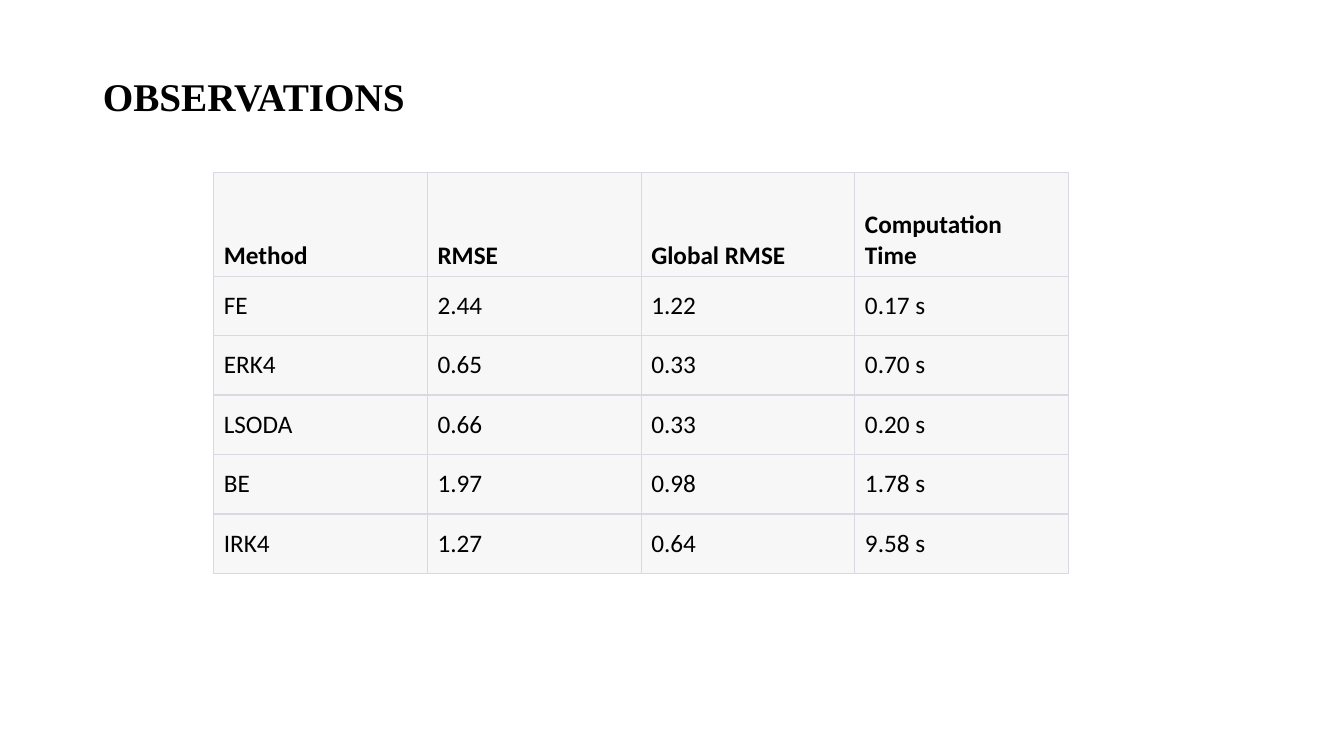
from lxml import etree
from pptx import Presentation
from pptx import util as u
from pptx.dml import color
from pptx.enum import text
from pptx.oxml import ns

COLORS = {"ink": "000000", "cell": "F7F7F8", "border": "D9D9E3"}

RESULTS = [
    ["Method", "RMSE", "Global RMSE", "Computation Time"],
    ["FE", "2.44", "1.22", "0.17 s"],
    ["ERK4", "0.65", "0.33", "0.70 s"],
    ["LSODA", "0.66", "0.33", "0.20 s"],
    ["BE", "1.97", "0.98", "1.78 s"],
    ["IRK4", "1.27", "0.64", "9.58 s"],
]


def write_text(frame, content, font="Calibri", size=18, bold=False,
               ink="ink", line_spacing=None):
    """Write one left-aligned, formatted paragraph into a text frame."""
    paragraph = frame.paragraphs[0]
    paragraph.alignment = text.PP_ALIGN.LEFT
    paragraph.line_spacing = line_spacing
    run = paragraph.add_run()
    run.text = content
    run.font.name = font
    run.font.size = u.Pt(size)
    run.font.bold = bold
    run.font.color.rgb = color.RGBColor.from_string(COLORS[ink])


class SlideBuilder:
    def __init__(self, slide):
        self.slide = slide

    def title(self, content, left, top, width, height):
        shape = self.slide.shapes.title
        shape.left, shape.top = u.Inches(left), u.Inches(top)
        shape.width, shape.height = u.Inches(width), u.Inches(height)
        frame = shape.text_frame
        frame.word_wrap = True
        frame.auto_size = text.MSO_AUTO_SIZE.NONE
        frame.vertical_anchor = text.MSO_ANCHOR.MIDDLE
        write_text(frame, content, font="Times New Roman", size=28,
                   bold=True, line_spacing=0.9)

    def borders(self, cell, widths):
        properties = cell._tc.get_or_add_tcPr()
        for position, (side, width) in enumerate(widths.items()):
            line = etree.Element(ns.qn(f"a:ln{side}"), w=str(u.Pt(width)))
            fill = etree.SubElement(line, ns.qn("a:solidFill"))
            etree.SubElement(fill, ns.qn("a:srgbClr"), val=COLORS["border"])
            properties.insert(position, line)

    def table(self, rows, left, top, column_width, header_height, row_height):
        columns = len(rows[0])
        last = len(rows) - 1
        table = self.slide.shapes.add_table(
            len(rows), columns, u.Inches(left), u.Inches(top),
            u.Inches(column_width * columns),
            u.Inches(header_height + row_height * last)).table
        table.horz_banding = False
        for column in table.columns:
            column.width = u.Inches(column_width)
        for index, values in enumerate(rows):
            header = index == 0
            table.rows[index].height = u.Inches(
                header_height if header else row_height)
            # Inner horizontal rules are heavier than the outer edges
            widths = {"L": 0.75, "R": 0.75,
                      "T": 0.75 if header else 1,
                      "B": 0.75 if index == last else 1}
            for cell, value in zip(table.rows[index].cells, values):
                cell.fill.solid()
                cell.fill.fore_color.rgb = color.RGBColor.from_string(
                    COLORS["cell"])
                cell.vertical_anchor = (text.MSO_ANCHOR.BOTTOM if header
                                        else text.MSO_ANCHOR.MIDDLE)
                write_text(cell.text_frame, value, bold=header)
                self.borders(cell, widths)


def main():
    presentation = Presentation()
    presentation.slide_width = u.Inches(13.33)
    presentation.slide_height = u.Inches(7.5)
    title_only = presentation.slide_layouts[5]
    builder = SlideBuilder(presentation.slides.add_slide(title_only))

    # Heading
    builder.title("OBSERVATIONS", 0.92, 0.26, 11.5, 1.45)

    # Error and run time of each method
    builder.table(RESULTS, left=2.12, top=1.71, column_width=2.12,
                  header_height=1.03, row_height=0.59)

    presentation.save("out.pptx")


if __name__ == "__main__":
    main()
